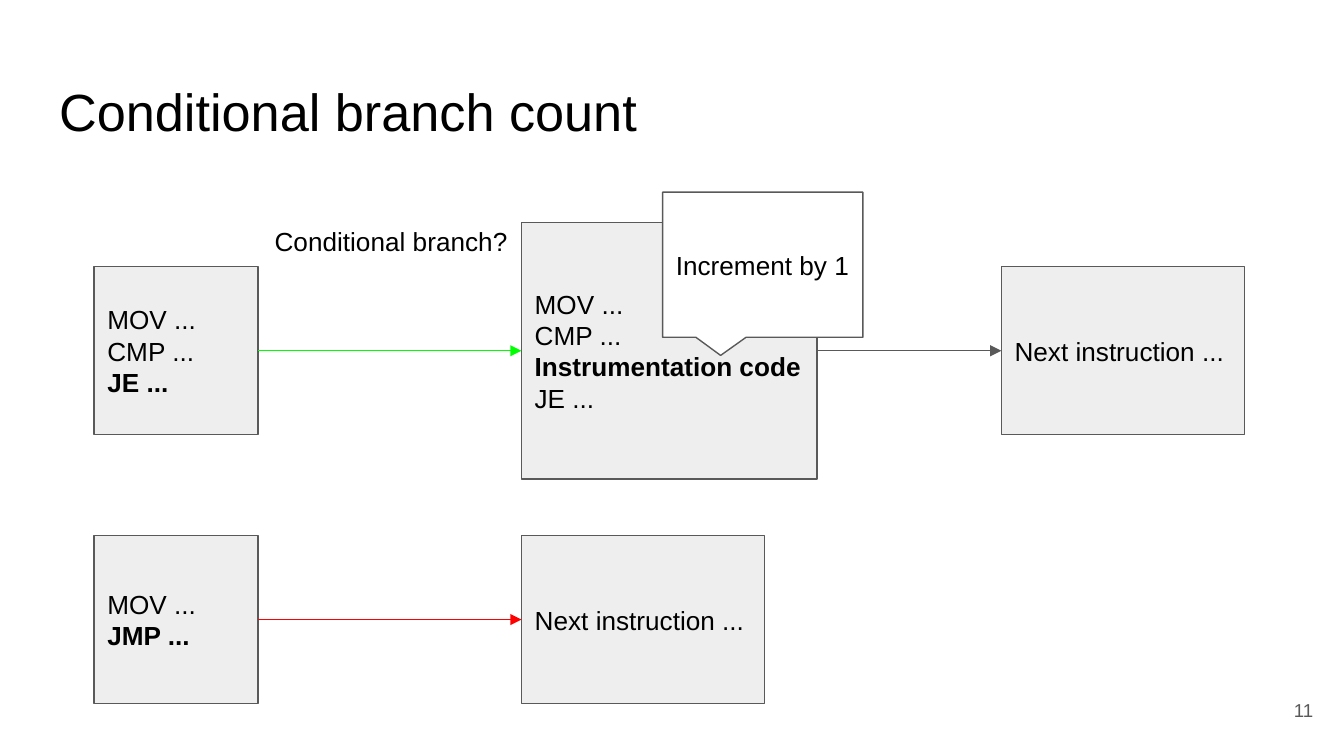
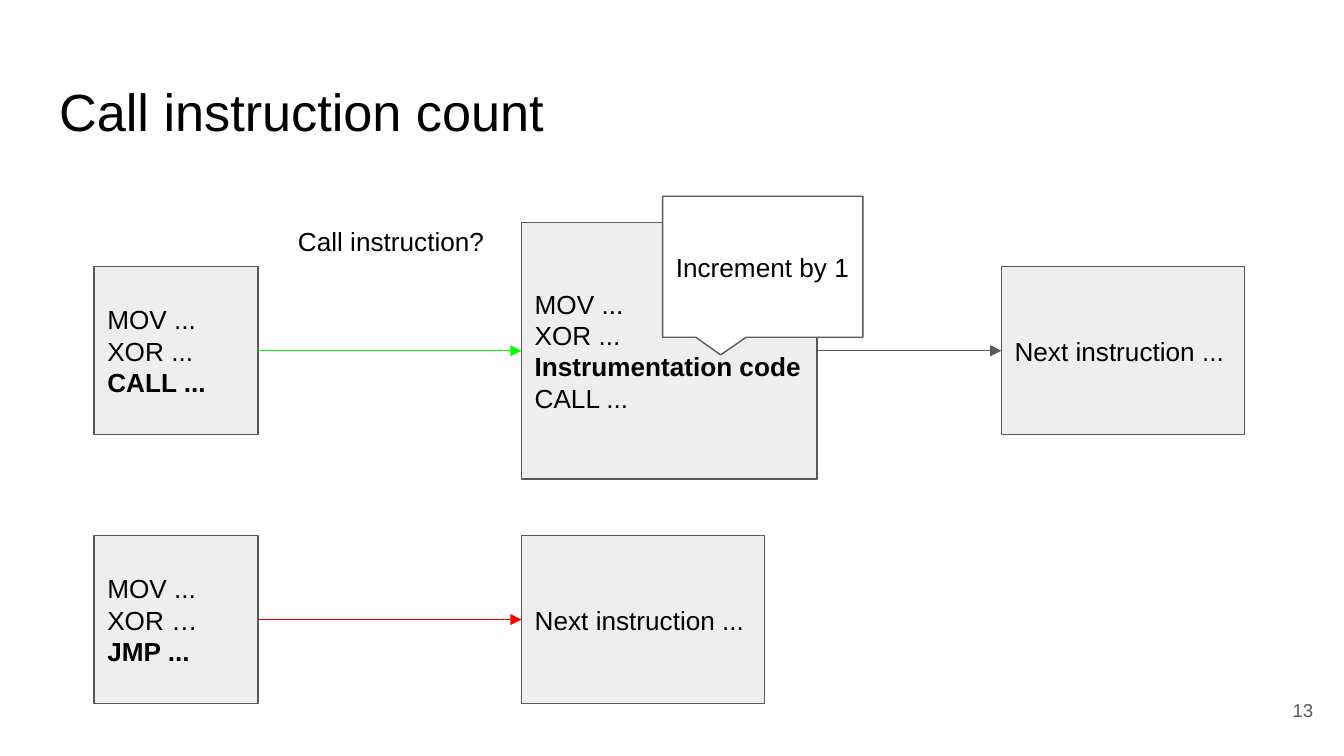
from pptx import Presentation
from pptx.dml.color import RGBColor
from pptx.enum.shapes import MSO_CONNECTOR, MSO_SHAPE
from pptx.enum.text import MSO_ANCHOR as Anchor, MSO_AUTO_SIZE as AutoSize, PP_ALIGN as Align
from pptx.oxml.ns import qn
from pptx.util import Inches, Pt
from lxml.etree import SubElement

WIDTH, HEIGHT = 10, 10 * 9 / 16
FONT = "Arial"
INSET = 0.1
COLORS = {"ink": "000000", "grey": "595959", "block": "EEEEEE", "white": "FFFFFF",
          "match": "00FF00", "skip": "FF0000"}
COLUMNS = (0.7, 3.88, 7.45)
ROW_CENTERS = (2.61, 4.61)
START, INSTRUMENTED, NEXT = (1.22, 1.25), (2.2, 1.91), (1.81, 1.25)
NEXT_TEXT = "Next instruction ..."
RIGHT_SIDE, LEFT_SIDE = 3, 1


def color(name):
    """Return the palette colour with this name."""
    return RGBColor.from_string(COLORS[name])


def write(shape, lines, size=14, ink="ink", bold=None, align=Align.LEFT, anchor=Anchor.MIDDLE):
    """Write lines into a shape, with the line equal to bold set in bold."""
    frame = shape.text_frame
    frame.text = "\n".join(lines)
    frame.word_wrap = True
    frame.auto_size = AutoSize.NONE
    frame.vertical_anchor = anchor
    frame.margin_left = frame.margin_right = Inches(INSET)
    frame.margin_top = frame.margin_bottom = Inches(INSET)
    for para in frame.paragraphs:
        para.alignment = align
        for span in para.runs:
            span.font.name = FONT
            span.font.size = Pt(size)
            span.font.color.rgb = color(ink)
            span.font.bold = span.text == bold


def add_label(page, text, left, top, width, height, **style):
    """Add a text box with one line."""
    box = page.shapes.add_textbox(*map(Inches, (left, top, width, height)))
    write(box, [text], **style)


def add_outlined(page, kind, left, top, width, height, fill):
    """Add a filled shape with the thin grey outline."""
    shape = page.shapes.add_shape(kind, *map(Inches, (left, top, width, height)))
    shape.shadow.inherit = False
    shape.fill.solid()
    shape.fill.fore_color.rgb = color(fill)
    shape.line.color.rgb = color("grey")
    shape.line.width = Pt(0.75)
    return shape


def add_block(page, lines, column, row, size, bold=None):
    """Add a code block on a grid column, centred on its row."""
    width, height = size
    top = ROW_CENTERS[row] - height / 2
    block = add_outlined(page, MSO_SHAPE.RECTANGLE, COLUMNS[column], top, width, height, "block")
    write(block, lines, bold=bold)
    return block


def add_callout(page, text, top):
    """Add the callout pointing at the instrumentation code."""
    bottom = 2.51
    callout = add_outlined(page, MSO_SHAPE.RECTANGULAR_CALLOUT,
                           4.93, top, 1.49, bottom - top, "white")
    callout.adjustments[0] = -0.21
    callout.adjustments[1] = 0.625
    write(callout, [text])
    callout.text_frame.word_wrap = False


def add_arrow(page, source, target, stroke):
    """Join the right side of source to the left side of target."""
    arrow = page.shapes.add_connector(MSO_CONNECTOR.STRAIGHT, 0, 0, 0, 0)
    arrow.begin_connect(source, RIGHT_SIDE)
    arrow.end_connect(target, LEFT_SIDE)
    arrow.line.color.rgb = color(stroke)
    arrow.line.width = Pt(0.75)
    properties = arrow.line._get_or_add_ln()
    SubElement(properties, qn("a:tailEnd"), type="triangle")
    SubElement(properties.getparent(), qn("a:effectLst"))


def add_page(deck, title, number):
    """Add a page with its title and page number."""
    page = deck.slides.add_slide(deck.slide_layouts.get_by_name("Title Only"))
    heading = page.shapes.title
    heading.left, heading.top, heading.width, heading.height = map(Inches, (0.34, 0.49, 9.32, 0.67))
    write(heading, [title], size=28, anchor=Anchor.TOP)
    add_label(page, str(number), 9.27, 5.1, 0.6, 0.37, size=10, ink="grey", align=Align.RIGHT)
    return page


def add_flow(page, question, matched, skipped, callout_top):
    """Draw the instrumented flow above the untouched one."""
    *setup, target = matched
    probe = "Instrumentation code"
    instrumented = add_block(page, [*setup, probe, target], 1, 0, INSTRUMENTED, bold=probe)
    start = add_block(page, matched, 0, 0, START, bold=target)
    add_arrow(page, start, instrumented, "match")
    add_label(page, question, 1.92, 1.6, 1.98, 0.39, align=Align.CENTER)
    other = add_block(page, skipped, 0, 1, START, bold=skipped[-1])
    add_arrow(page, other, add_block(page, [NEXT_TEXT], 1, 1, NEXT), "skip")
    add_callout(page, "Increment by 1", callout_top)
    add_arrow(page, instrumented, add_block(page, [NEXT_TEXT], 2, 0, NEXT), "grey")


def main():
    """Build and save the two pages."""
    deck = Presentation()
    deck.slide_width, deck.slide_height = Inches(WIDTH), Inches(HEIGHT)
    page = add_page(deck, "Conditional branch count", 11)
    add_flow(page, "Conditional branch?", ["MOV ...", "CMP ...", "JE ..."],
             ["MOV ...", "JMP ..."], callout_top=1.43)
    page = add_page(deck, "Call instruction count", 13)
    add_flow(page, "Call instruction?", ["MOV ...", "XOR ...", "CALL ..."],
             ["MOV ...", "XOR …", "JMP ..."], callout_top=1.46)
    deck.save("out.pptx")


if __name__ == "__main__":
    main()
